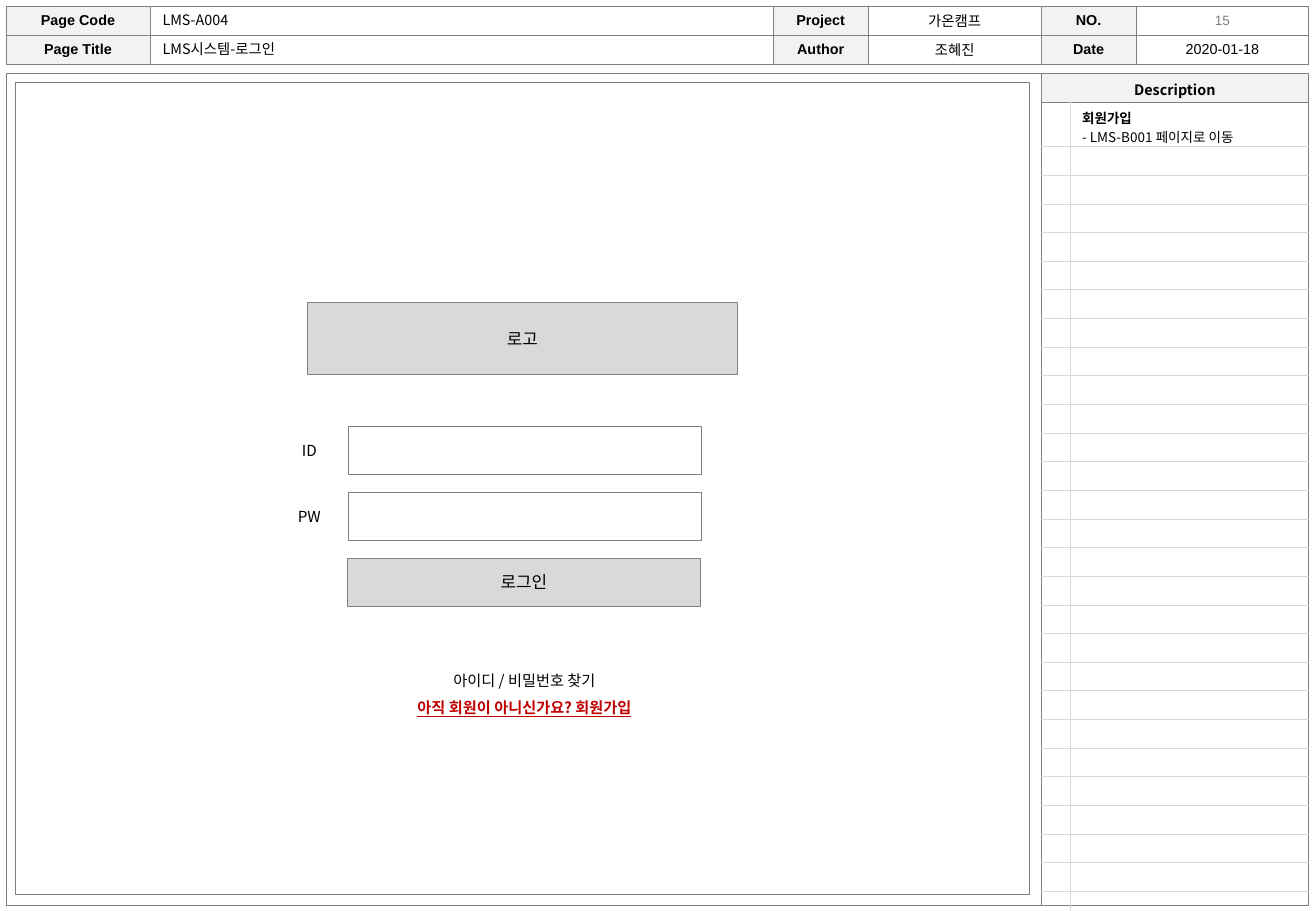
"""Build the login wireframe page of the LMS storyboard."""
from dataclasses import dataclass
from typing import Optional

import pptx
import pptx.dml.color
import pptx.enum.shapes
import pptx.enum.text
import pptx.oxml
import pptx.oxml.ns
import pptx.util

Pt = pptx.util.Pt
Align = pptx.enum.text.PP_ALIGN
Anchor = pptx.enum.text.MSO_ANCHOR
SANS = "Noto Sans CJK KR"
ARIAL = "Arial"
NO_STYLE = "{2D5ABB26-0587-4C30-8999-92F81FD0307C}"
COLORS = {
    "black": "000000", "white": "FFFFFF", "gray": "808080", "muted": "7F7F7F",
    "head": "F2F2F2", "rule": "D9D9D9", "button": "D9D9D9", "link": "C00000",
}


@dataclass(frozen=True)
class Line:
    """One paragraph of text and its look."""
    text: str
    size: float = 9
    font: str = SANS
    color: str = "black"
    bold: bool = False
    underline: bool = False
    align: Align = Align.CENTER
    spacing: Optional[float] = None


@dataclass(frozen=True)
class Block:
    """One rectangle of the wireframe."""
    left: float
    top: float
    width: float
    height: float
    fill: str = "white"
    outlined: bool = True
    lines: tuple[Line, ...] = ()


@dataclass(frozen=True)
class Grid:
    """Place, column widths and row heights of a table."""
    left: float
    top: float
    columns: tuple[float, ...]
    rows: tuple[float, ...]


HEADER = Grid(3.6, 3.6, (85.2, 369.2, 56.6, 102.2, 56.6, 102.1), (17.25, 17.25))
PANEL = Grid(3.6, 43.5, (613.3, 158.5), (17.2, 475.9))
NOTES = Grid(616.9, 60.7, (17.1, 141.4), (26.1,) + (17,) * 27)

HEADER_TEXT = (
    ("Page Code", "", "Project", "가온캠프", "NO.", ""),
    ("Page Title", "", "Author", "조혜진", "Date", "2020-01-18"),
)
NOTE_LINES = (
    Line("회원가입", 8, bold=True, align=Align.LEFT),
    Line("- LMS-B001 페이지로 이동", 8, align=Align.LEFT),
)
FIELD_LEFT, FIELD_WIDTH, FIELD_HEIGHT = 206.5, 209, 28.4
FIELD_TOP, FIELD_STEP = 252.7, 39.1
FIELDS = ("ID", "PW")
BLOCKS = (
    Block(9.2, 48.9, 601, 481.2),
    Block(182, 179.2, 255.1, 42.8, "button", lines=(Line("로고", 10),)),
    Block(FIELD_LEFT - 0.6, FIELD_TOP + 2 * FIELD_STEP, FIELD_WIDTH, FIELD_HEIGHT,
          "button", lines=(Line("로그인", 10),)),
    Block(229, 394.6, 163.4, 28.1, outlined=False, lines=(
        Line("아이디 / 비밀번호 찾기", spacing=1.5),
        Line("아직 회원이 아니신가요? 회원가입", color="link", bold=True,
             underline=True, spacing=1.5))),
)


def color(name: str) -> pptx.dml.color.RGBColor:
    """Look up a named colour."""
    return pptx.dml.color.RGBColor.from_string(COLORS[name])


def write(frame, lines: tuple[Line, ...]) -> None:
    """Write the lines into a text frame."""
    for index, line in enumerate(lines):
        para = frame.add_paragraph() if index else frame.paragraphs[0]
        para.alignment = line.align
        if line.spacing:
            para.line_spacing = line.spacing
        span = para.add_run()
        span.text = line.text
        span.font.name = line.font
        span.font.size = Pt(line.size)
        span.font.bold = line.bold
        span.font.underline = line.underline
        span.font.color.rgb = color(line.color)
        asian = pptx.oxml.parse_xml(
            f'<a:ea {pptx.oxml.ns.nsdecls("a")} typeface="{SANS}"/>')
        span.font._element.find(pptx.oxml.ns.qn("a:latin")).addnext(asian)


def set_margins(target, side: float, top: float = 0, bottom: float = 0) -> None:
    """Set the inner margins of a cell or text frame."""
    target.margin_left = target.margin_right = Pt(side)
    target.margin_top, target.margin_bottom = Pt(top), Pt(bottom)


def add_grid(page, grid: Grid):
    """Add a plain empty table."""
    table = page.shapes.add_table(
        len(grid.rows), len(grid.columns), Pt(grid.left), Pt(grid.top),
        Pt(sum(grid.columns)), Pt(sum(grid.rows))).table
    table.first_row = table.horz_banding = False
    table._tbl.tblPr.find(pptx.oxml.ns.qn("a:tableStyleId")).text = NO_STYLE
    for column, width in zip(table.columns, grid.columns):
        column.width = Pt(width)
    for row, height in zip(table.rows, grid.rows):
        row.height = Pt(height)
    return table


def format_cell(cell, sides: str, width: float, line: str, fill: Optional[str] = None,
                lines: tuple[Line, ...] = ()) -> None:
    """Set the borders, fill and text of a cell."""
    properties = cell._tc.get_or_add_tcPr()
    for side in "LRTB":
        paint = (f'<a:solidFill><a:srgbClr val="{COLORS[line]}"/></a:solidFill>'
                 if side in sides else "<a:noFill/>")
        properties.append(pptx.oxml.parse_xml(
            f'<a:ln{side} {pptx.oxml.ns.nsdecls("a")} w="{Pt(width)}">{paint}</a:ln{side}>'))
    if fill:
        cell.fill.solid()
        cell.fill.fore_color.rgb = color(fill)
    else:
        cell.fill.background()
    cell.vertical_anchor = Anchor.MIDDLE
    set_margins(cell, 2.9)
    if lines:
        write(cell.text_frame, lines)
    else:
        cell.text_frame.paragraphs[0]._p.get_or_add_endParaRPr().set("sz", "800")


def add_block(page, block: Block) -> None:
    """Add a wireframe rectangle."""
    box = page.shapes.add_shape(
        pptx.enum.shapes.MSO_SHAPE.RECTANGLE, Pt(block.left), Pt(block.top),
        Pt(block.width), Pt(block.height))
    box.shadow.inherit = False
    box.fill.solid()
    box.fill.fore_color.rgb = color(block.fill)
    if block.outlined:
        box.line.color.rgb = color("gray")
        box.line.width = Pt(0.5)
    else:
        box.line.fill.background()
    box.text_frame.vertical_anchor = Anchor.MIDDLE
    set_margins(box.text_frame, 0)
    write(box.text_frame, block.lines)


def fill_label(box, left: float, top: float, width: float, line: Line) -> None:
    """Place a text box or placeholder on a header cell."""
    box.left, box.top, box.width, box.height = Pt(left), Pt(top), Pt(width), Pt(17.2)
    frame = box.text_frame
    frame.word_wrap = True
    frame.auto_size = pptx.enum.text.MSO_AUTO_SIZE.NONE
    frame.vertical_anchor = Anchor.MIDDLE
    set_margins(frame, 7.2)
    write(frame, (line,))


def main() -> None:
    """Draw the page and save the deck."""
    deck = pptx.Presentation()
    deck.slide_width, deck.slide_height = Pt(779.76), Pt(540)
    page = deck.slides.add_slide(deck.slide_layouts[5])
    fill_label(page.shapes.title, 89.2, 20.2, 368.6,
               Line("LMS시스템-로그인", 8.5, align=Align.LEFT))

    panel = add_grid(page, PANEL)
    for index, cell in enumerate(panel.iter_cells()):
        is_head = index == 1
        format_cell(cell, ("LRT", "LRTB", "LRB", "LRTB")[index], 0.25, "gray",
                    "head" if is_head else None,
                    (Line("Description", 8.5, bold=True),) if is_head else ())
    set_margins(panel.cell(0, 1), 7.2, 3, 1)

    header = add_grid(page, HEADER)
    for row, texts in enumerate(HEADER_TEXT):
        for column, text in enumerate(texts):
            is_head = column % 2 == 0
            lines = (Line(text, 8.5, ARIAL, bold=is_head),) if text else ()
            format_cell(header.cell(row, column), "LRTB", 0.25, "gray",
                        "head" if is_head else None, lines)

    for block in BLOCKS:
        add_block(page, block)
    for index, name in enumerate(FIELDS):
        top = FIELD_TOP + index * FIELD_STEP
        add_block(page, Block(FIELD_LEFT, top, FIELD_WIDTH, FIELD_HEIGHT))
        add_block(page, Block(169.2, top, 28.1, FIELD_HEIGHT, outlined=False,
                              lines=(Line(name),)))

    notes = add_grid(page, NOTES)
    last = len(NOTES.rows) - 1
    for row in range(last + 1):
        edges = ("T" if row else "") + ("B" if row < last else "")
        for column, side in enumerate("RL"):
            lines = NOTE_LINES if (row, column) == (0, 1) else ()
            format_cell(notes.cell(row, column), side + edges, 0.5, "rule", lines=lines)
    set_margins(notes.cell(0, 1), 7.2, 2.9)

    for left, width, line in (
            (89.2, 368.6, Line("LMS-A004", 8.5, align=Align.LEFT)),
            (673.2, 102.2, Line("15", 8, ARIAL, "muted"))):
        fill_label(page.shapes.add_textbox(0, 0, 0, 0), left, 3.2, width, line)
    deck.save("out.pptx")


if __name__ == "__main__":
    main()
